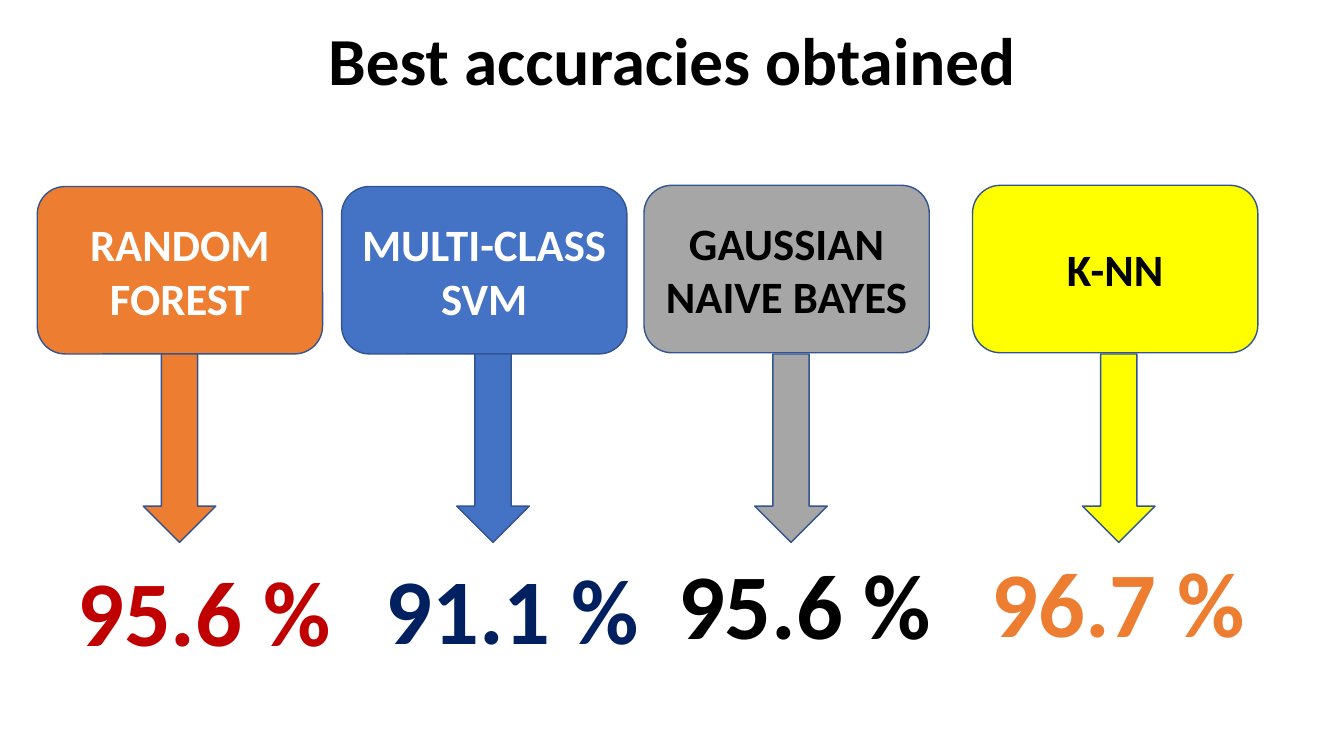
from pptx import Presentation
from pptx.dml.color import RGBColor
from pptx.enum.shapes import MSO_SHAPE
from pptx.enum.text import MSO_ANCHOR, MSO_AUTO_SIZE, PP_ALIGN
from pptx.util import Cm, Pt

COLOURS = {
    "orange": "ED7D31",
    "blue": "4472C4",
    "grey": "A6A6A6",
    "yellow": "FFFF00",
    "outline": "325491",
    "white": "FFFFFF",
    "black": "000000",
    "red": "C00000",
    "navy": "002060",
}

BOX_WIDTH, BOX_HEIGHT = 7.19, 4.22
ARROW_TOP, ARROW_WIDTH, ARROW_HEIGHT = 8.92, 1.83, 4.75
SCORE_WIDTH, SCORE_HEIGHT = 6.96, 3.07

CLASSIFIERS = [
    ("RANDOM FOREST", "orange", "white", (0.94, 4.7), 3.61, "95.6 %", "red", (1.7, 13.84)),
    ("MULTI-CLASS SVM", "blue", "white", (8.61, 4.7), 11.51, "91.1 %", "navy", (9.47, 13.79)),
    ("GAUSSIAN NAIVE BAYES", "grey", "black", (16.23, 4.67), 19.02, "95.6 %", "black", (16.84, 13.67)),
    ("K-NN", "yellow", "black", (24.51, 4.67), 27.28, "96.7 %", "orange", (24.74, 13.61)),
]


class AccuracySlide:
    def __init__(self, deck):
        self.slide = deck.slides.add_slide(deck.slide_layouts[5])
        self.font_format = {"name": "Calibri", "bold": True}

    def colour(self, key):
        return RGBColor.from_string(COLOURS[key])

    def set_wording(self, frame, wording, size, colour, alignment, frame_format):
        for attribute, value in frame_format.items():
            setattr(frame, attribute, value)
        paragraph = frame.paragraphs[0]
        paragraph.alignment = alignment
        run = paragraph.add_run()
        run.text = wording
        for attribute, value in {**self.font_format, "size": Pt(size)}.items():
            setattr(run.font, attribute, value)
        run.font.color.rgb = self.colour(colour)

    def title(self, wording, left, top, width, height):
        heading = self.slide.shapes.title
        place = {"left": left, "top": top, "width": width, "height": height}
        for attribute, value in place.items():
            setattr(heading, attribute, Cm(value))
        self.set_wording(heading.text_frame, wording, 48, "black", PP_ALIGN.CENTER,
                         {"word_wrap": True, "vertical_anchor": MSO_ANCHOR.TOP,
                          "auto_size": MSO_AUTO_SIZE.NONE})

    def block(self, preset, fill, left, top, width, height):
        block = self.slide.shapes.add_shape(preset, Cm(left), Cm(top), Cm(width), Cm(height))
        block.shadow.inherit = False
        block.fill.solid()
        block.fill.fore_color.rgb = self.colour(fill)
        block.line.color.rgb = self.colour("outline")
        block.line.width = Pt(1)
        return block

    def method_box(self, wording, fill, ink, left, top):
        box = self.block(MSO_SHAPE.ROUNDED_RECTANGLE, fill, left, top, BOX_WIDTH, BOX_HEIGHT)
        self.set_wording(box.text_frame, wording, 32, ink, PP_ALIGN.CENTER,
                         {"word_wrap": True, "vertical_anchor": MSO_ANCHOR.MIDDLE})

    def arrow(self, fill, left):
        self.block(MSO_SHAPE.DOWN_ARROW, fill, left, ARROW_TOP, ARROW_WIDTH, ARROW_HEIGHT)

    def score(self, wording, ink, left, top):
        score = self.slide.shapes.add_textbox(
            Cm(left), Cm(top), Cm(SCORE_WIDTH), Cm(SCORE_HEIGHT))
        self.set_wording(score.text_frame, wording, 66, ink, PP_ALIGN.LEFT,
                         {"word_wrap": False, "auto_size": MSO_AUTO_SIZE.SHAPE_TO_FIT_TEXT})


def main():
    deck = Presentation()
    deck.slide_width, deck.slide_height = Cm(33.87), Cm(19.05)
    page = AccuracySlide(deck)
    page.title("Best accuracies obtained", 0, 0.33, 33.87, 2.31)
    for method, fill, ink, box_at, arrow_left, accuracy, accuracy_ink, score_at in CLASSIFIERS:
        page.method_box(method, fill, ink, *box_at)
        page.arrow(fill, arrow_left)
        page.score(accuracy, accuracy_ink, *score_at)
    deck.save("out.pptx")


if __name__ == "__main__":
    main()
